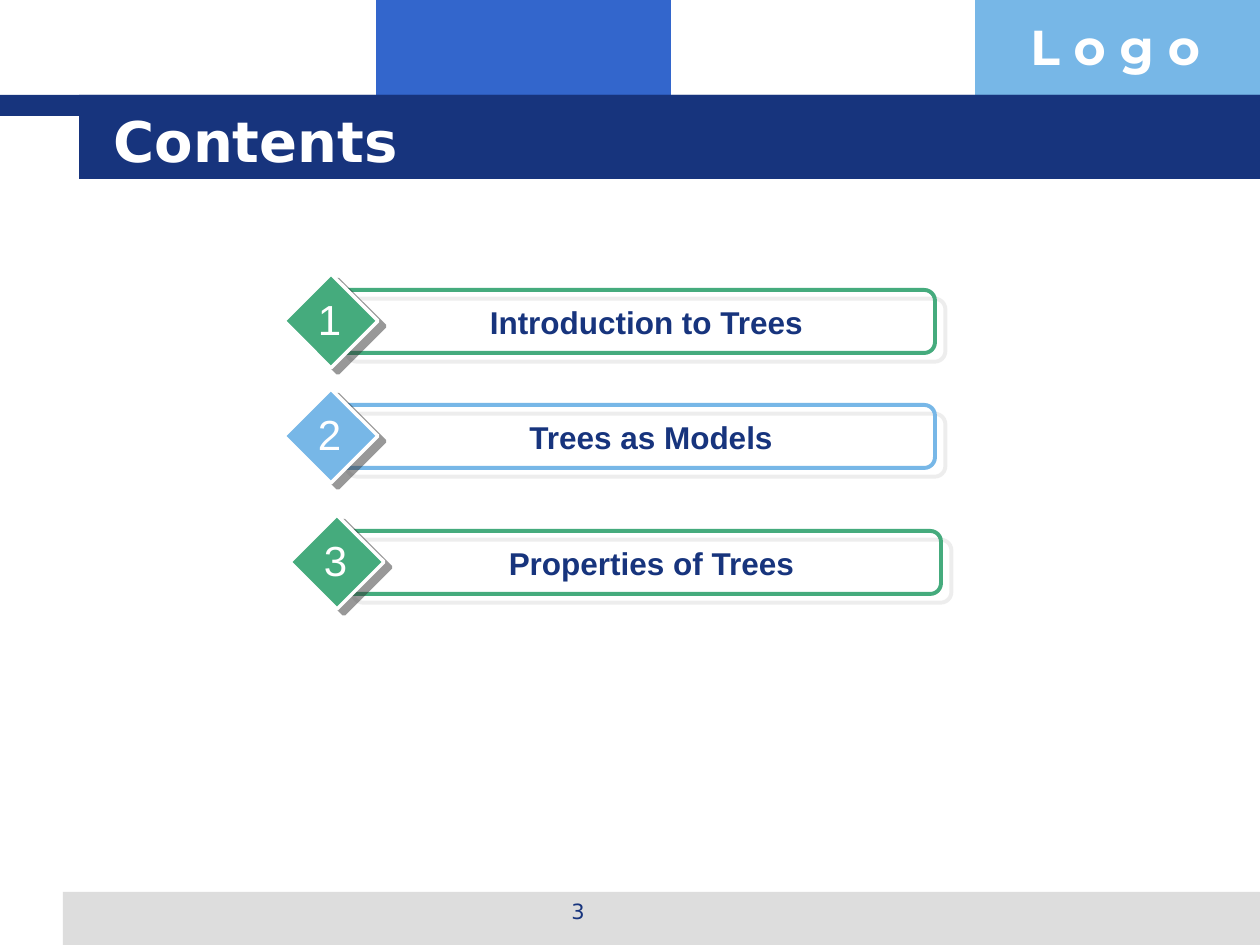
from dataclasses import dataclass

from lxml.etree import SubElement
from pptx import Presentation
from pptx.dml.color import RGBColor
from pptx.enum.shapes import MSO_SHAPE
from pptx.enum.text import MSO_ANCHOR, PP_ALIGN
from pptx.oxml.ns import qn
from pptx.shapes.autoshape import Shape
from pptx.slide import Slide
from pptx.util import Emu, Pt

EMU_PER_PX = 914400 / 126

NAVY = RGBColor(0x17, 0x34, 0x7D)
BLUE = RGBColor(0x33, 0x66, 0xCC)
SKY = RGBColor(0x77, 0xB7, 0xE7)
GREEN = RGBColor(0x45, 0xAB, 0x7D)
PALE_GREY = RGBColor(0xDD, 0xDD, 0xDD)
DARK_GREY = RGBColor(0x33, 0x33, 0x33)
WHITE = RGBColor(0xFF, 0xFF, 0xFF)


@dataclass(frozen=True)
class Area:
    left: int
    top: int
    width: int
    height: int

    def emu(self) -> list[Emu]:
        return [px(n) for n in (self.left, self.top, self.width, self.height)]


@dataclass(frozen=True)
class TextStyle:
    font: str
    size: int
    color: RGBColor
    bold: bool = False
    align: PP_ALIGN = PP_ALIGN.LEFT


@dataclass(frozen=True)
class Topic:
    title: str
    color: RGBColor
    left: int
    top: int
    label_left: int
    label_width: int


TITLE_STYLE = TextStyle("DejaVu Sans", 32, WHITE, bold=True)
LOGO_STYLE = TextStyle("Montserrat", 28, WHITE, bold=True)
PAGE_NUMBER_STYLE = TextStyle("DejaVu Sans", 12, NAVY, align=PP_ALIGN.CENTER)
LABEL_STYLE = TextStyle("Arial", 18, NAVY, bold=True, align=PP_ALIGN.CENTER)
NUMBER_STYLE = TextStyle("Arial", 24, WHITE, align=PP_ALIGN.CENTER)

BANDS = [
    (Area(376, 0, 295, 116), BLUE),
    (Area(975, 0, 285, 116), SKY),
    (Area(63, 892, 1197, 53), PALE_GREY),
    (Area(0, 95, 1260, 21), NAVY),
    (Area(79, 95, 1181, 84), NAVY),
]

TOPICS = [
    Topic("Introduction to Trees", GREEN, 336, 290, 368, 557),
    Topic("Trees as Models", SKY, 336, 405, 378, 546),
    Topic("Properties of Trees", GREEN, 342, 531, 373, 557),
]


def px(length: int) -> Emu:
    return Emu(round(length * EMU_PER_PX))


def write(shape: Shape, text: str, style: TextStyle) -> None:
    shape.text_frame.text = text
    paragraph = shape.text_frame.paragraphs[0]
    paragraph.alignment = style.align
    font = paragraph.font
    font.name = style.font
    font.size = Pt(style.size)
    font.bold = style.bold
    font.color.rgb = style.color


def add_text(page: Slide, area: Area, text: str, style: TextStyle, wrap: bool = True) -> None:
    box = page.shapes.add_textbox(*area.emu())
    box.text_frame.word_wrap = wrap
    write(box, text, style)


def add_band(page: Slide, area: Area, color: RGBColor) -> None:
    band = page.shapes.add_shape(MSO_SHAPE.RECTANGLE, *area.emu())
    band.shadow.inherit = False
    band.fill.solid()
    band.fill.fore_color.rgb = color
    band.line.fill.background()


def cast_shadow(shape: Shape, color: RGBColor, distance: float, degrees: int) -> None:
    """Give the shape a hard, half-transparent shadow."""
    shape.shadow.inherit = False
    effects = shape.element.spPr.find(qn("a:effectLst"))
    shadow = SubElement(effects, qn("a:outerShdw"), dist=str(int(Pt(distance))),
                        dir=str(degrees * 60000), algn="ctr", rotWithShape="0")
    tint = SubElement(shadow, qn("a:srgbClr"), val=str(color))
    SubElement(tint, qn("a:alpha"), val="50000")


def add_topic(page: Slide, number: int, topic: Topic) -> None:
    bar_area = Area(topic.left, topic.top, 599, 63)
    bar = page.shapes.add_shape(MSO_SHAPE.ROUNDED_RECTANGLE, *bar_area.emu())
    bar.adjustments[0] = 0.17
    bar.fill.background()
    bar.line.color.rgb = topic.color
    bar.line.width = Pt(2.25)
    cast_shadow(bar, PALE_GREY, 7.8, 40)

    diamond_area = Area(topic.left - 52, topic.top - 16, 94, 94)
    diamond = page.shapes.add_shape(MSO_SHAPE.DIAMOND, *diamond_area.emu())
    diamond.fill.solid()
    diamond.fill.fore_color.rgb = topic.color
    diamond.line.color.rgb = WHITE
    diamond.line.width = Pt(2)
    cast_shadow(diamond, DARK_GREY, 5, 37)

    label_area = Area(topic.label_left, topic.top + 7, topic.label_width, 50)
    add_text(page, label_area, topic.title, LABEL_STYLE)
    number_area = Area(topic.left - 31, topic.top - 3, 49, 63)
    add_text(page, number_area, str(number), NUMBER_STYLE, wrap=False)


def add_title(page: Slide, text: str) -> None:
    """Fill the title placeholder and bring it in front of the bands."""
    title = page.shapes.title
    title.left, title.top, title.width, title.height = Area(101, 101, 1075, 78).emu()
    title.text_frame.vertical_anchor = MSO_ANCHOR.MIDDLE
    write(title, text, TITLE_STYLE)
    title.element.getparent().append(title.element)


def main() -> None:
    deck = Presentation()
    deck.slide_width, deck.slide_height = px(1260), px(945)
    page = deck.slides.add_slide(deck.slide_layouts[5])

    for area, color in BANDS:
        add_band(page, area, color)
    add_text(page, Area(1018, 10, 243, 72), "L o g o", LOGO_STYLE)
    add_text(page, Area(431, 892, 294, 44), "3", PAGE_NUMBER_STYLE)
    add_title(page, "Contents")
    for number, topic in enumerate(TOPICS, start=1):
        add_topic(page, number, topic)

    deck.save("out.pptx")


if __name__ == "__main__":
    main()
